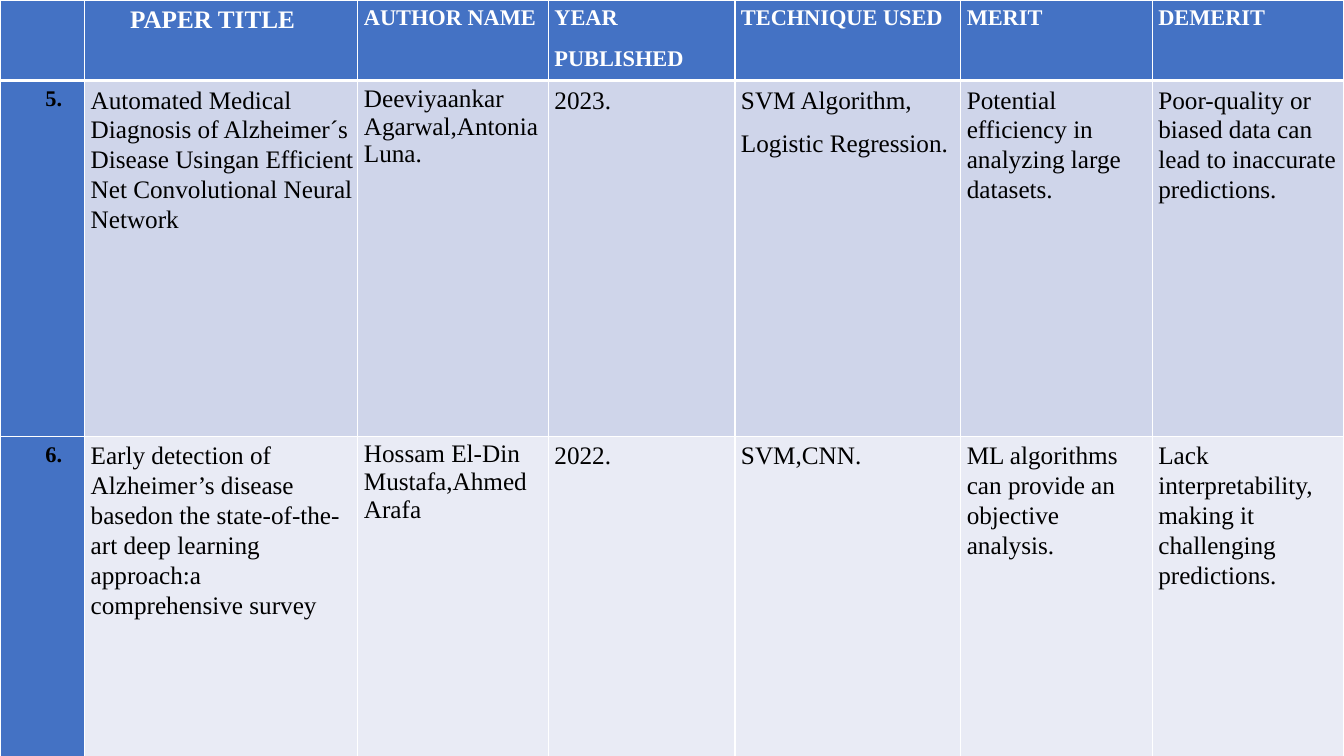
from dataclasses import dataclass

from lxml.etree import SubElement
from pptx import Presentation
from pptx.dml.color import RGBColor
from pptx.oxml.ns import qn
from pptx.table import _Cell
from pptx.util import Inches, Pt

FONT = "Times New Roman"
BLUE = "4472C4"
WHITE = "FFFFFF"
BLACK = "000000"
COLUMN_WIDTHS = [0.84, 2.71, 1.89, 1.85, 2.24, 1.9, 1.9]
ROW_HEIGHTS = [0.8, 3.53, 3.53]
AUTHOR_COLUMN = 2


@dataclass
class Paper:
    number: str
    title: str
    authors: str
    year: str
    technique: str
    merit: str
    demerit: str
    fill: str

    def texts(self) -> list[str]:
        return [self.number, self.title, self.authors, self.year,
                self.technique, self.merit, self.demerit]


HEADINGS = ["", "PAPER TITLE", "AUTHOR NAME", "YEAR\nPUBLISHED",
            "TECHNIQUE USED", "MERIT", "DEMERIT"]
PAPERS = [
    Paper("5.",
          "Automated Medical Diagnosis of Alzheimer´s Disease Usingan "
          "Efficient Net Convolutional Neural Network",
          "Deeviyaankar\nAgarwal,Antonia\nLuna.",
          "2023.",
          "SVM Algorithm,\nLogistic Regression.",
          "Potential efficiency in analyzing large datasets.",
          "Poor-quality or biased data can lead to inaccurate predictions.",
          "CFD5EA"),
    Paper("6.",
          "Early detection of Alzheimer’s disease basedon the "
          "state-of-the-art deep learning approach:a comprehensive survey",
          "Hossam El-Din Mustafa,Ahmed Arafa",
          "2022.",
          "SVM,CNN.",
          "ML algorithms can provide an objective analysis.",
          "Lack interpretability, making it challenging predictions.",
          "E9EBF5"),
]


def color(value: str) -> RGBColor:
    return RGBColor.from_string(value)


def write_text(cell: _Cell, text: str, *, size: float = 18, bold: bool = False,
               font_color: str = BLACK, spaced: bool = True,
               hanging: bool = False) -> None:
    cell.text_frame.text = text
    for paragraph in cell.text_frame.paragraphs:
        paragraph.font.size = Pt(size)
        if spaced:
            paragraph.line_spacing = 1.07
            paragraph.space_after = Pt(9.8)
        if hanging:
            properties = paragraph._p.get_or_add_pPr()
            properties.set("marL", str(Inches(0.65)))
            properties.set("indent", str(Inches(-0.26)))
        for run in paragraph.runs:
            run.font.name = FONT
            run.font.size = Pt(size)
            run.font.bold = bold
            run.font.color.rgb = color(font_color)


def format_cell(cell: _Cell, fill: str, top: float = 1, bottom: float = 1) -> None:
    cell.margin_left = Inches(0.06)
    cell.margin_top = Inches(0.04)
    cell.margin_right = Inches(0.03)
    cell.margin_bottom = Inches(0)
    properties = cell._tc.get_or_add_tcPr()
    for side, width in (("L", 1), ("R", 1), ("T", top), ("B", bottom)):
        line = SubElement(properties, qn(f"a:ln{side}"), w=str(Pt(width)))
        solid = SubElement(line, qn("a:solidFill"))
        SubElement(solid, qn("a:srgbClr"), val=WHITE)
    cell.fill.solid()
    cell.fill.fore_color.rgb = color(fill)


def main() -> None:
    presentation = Presentation()
    presentation.slide_width = Inches(13.33)
    presentation.slide_height = Inches(7.5)
    slide = presentation.slides.add_slide(presentation.slide_layouts[6])
    table = slide.shapes.add_table(
        len(ROW_HEIGHTS), len(COLUMN_WIDTHS), Inches(0), Inches(0),
        Inches(sum(COLUMN_WIDTHS)), Inches(sum(ROW_HEIGHTS))).table
    for column, width in zip(table.columns, COLUMN_WIDTHS):
        column.width = Inches(width)
    for row, height in zip(table.rows, ROW_HEIGHTS):
        row.height = Inches(height)

    for index, heading in enumerate(HEADINGS):
        cell = table.cell(0, index)
        is_title = heading == "PAPER TITLE"
        format_cell(cell, BLUE, bottom=3)
        write_text(cell, heading, size=18 if is_title else 16, bold=True,
                   font_color=WHITE, hanging=is_title)

    for row_index, paper in enumerate(PAPERS, start=1):
        for index, text in enumerate(paper.texts()):
            cell = table.cell(row_index, index)
            is_number = index == 0
            format_cell(cell, BLUE if is_number else paper.fill,
                        top=3 if row_index == 1 else 1)
            write_text(cell, text, size=16 if is_number else 18, bold=is_number,
                       spaced=index != AUTHOR_COLUMN, hanging=is_number)

    presentation.save("out.pptx")


if __name__ == "__main__":
    main()
